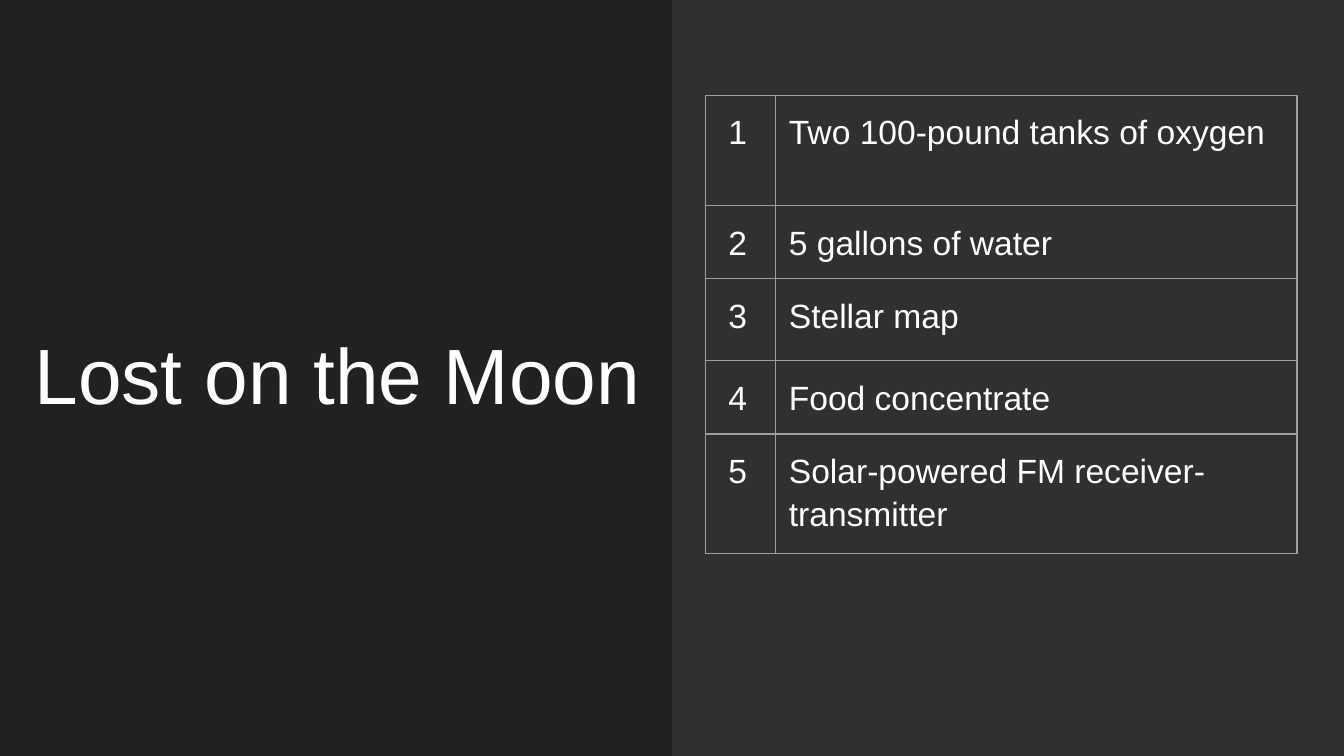
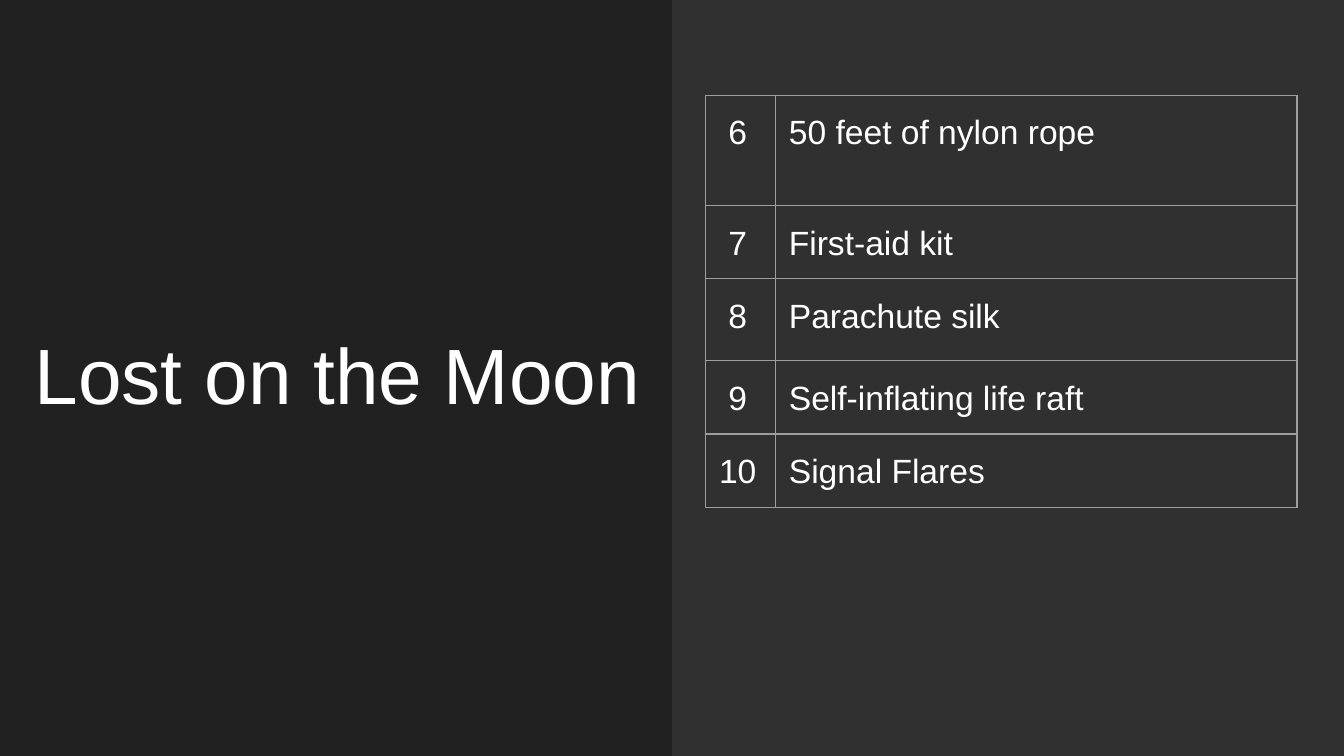
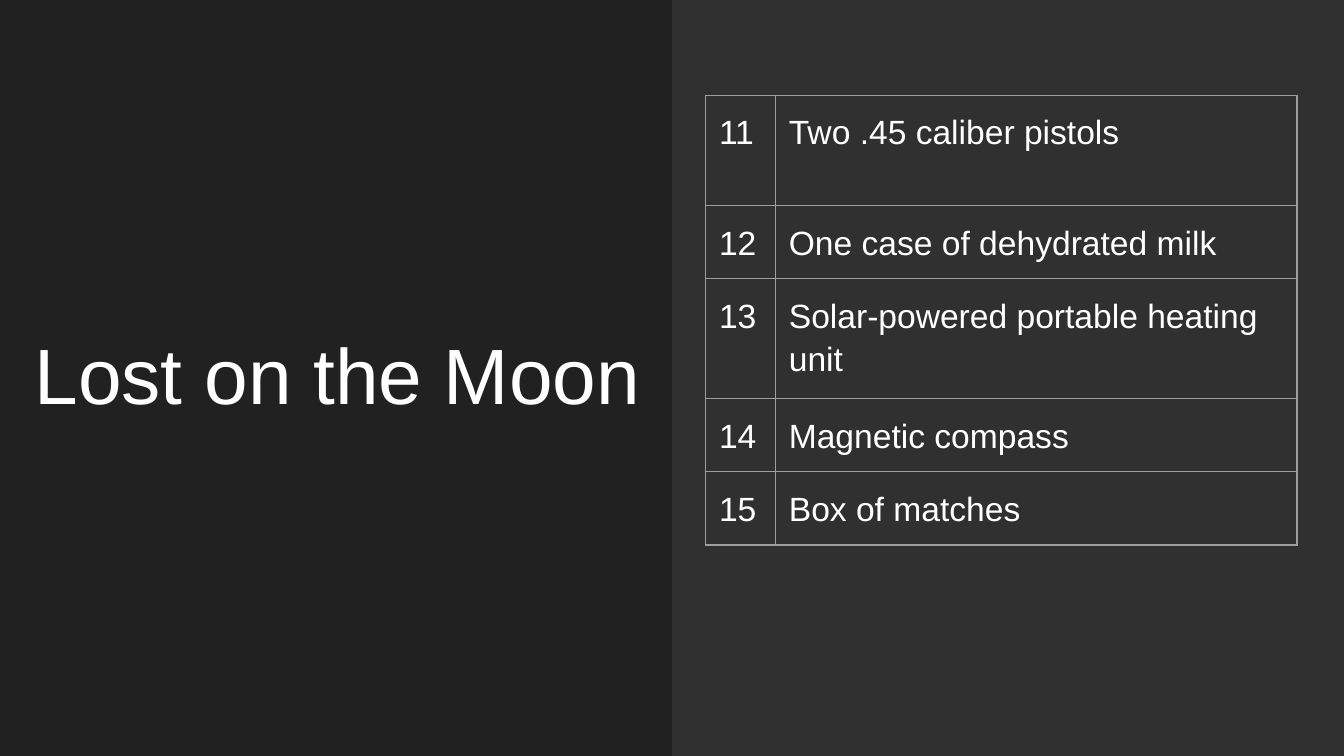
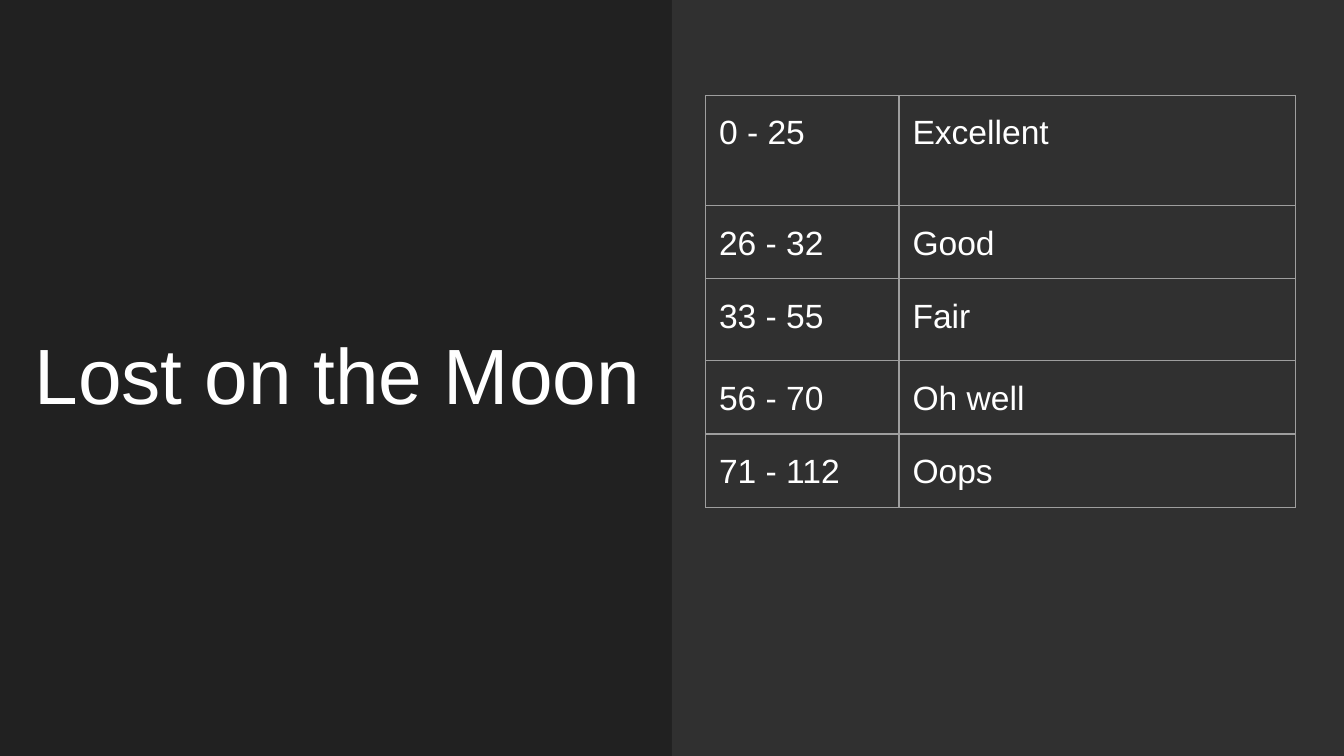
from lxml.etree import SubElement
from pptx import Presentation
from pptx.dml.color import RGBColor
from pptx.enum.shapes import MSO_SHAPE
from pptx.enum.text import MSO_ANCHOR
from pptx.oxml.ns import qn
from pptx.util import Inches, Pt

BACKGROUND = RGBColor(0x21, 0x21, 0x21)
PANEL = RGBColor(0x30, 0x30, 0x30)
WHITE = RGBColor(0xFF, 0xFF, 0xFF)
RULE = RGBColor(0x9E, 0x9E, 0x9E)

FONT = "Arial"
UNIT = Inches(0.1)
COLUMNS, ROWS = 100, 56.25
ROW_HEIGHTS = (8.2, 2.7, 6.1, 4.4, 4.4)
ITEM_WIDTHS = (5.2, 38.8)
SCORE_WIDTHS = (14.4, 29.5)
DIGIT_INDENT = Pt(5)

TITLE = "Lost on the Moon"
ITEMS = (
    "Two 100-pound tanks of oxygen",
    "5 gallons of water",
    "Stellar map",
    "Food concentrate",
    "Solar-powered FM receiver-transmitter",
    "50 feet of nylon rope",
    "First-aid kit",
    "Parachute silk",
    "Self-inflating life raft",
    "Signal Flares",
    "Two .45 caliber pistols",
    "One case of dehydrated milk",
    "Solar-powered portable heating unit",
    "Magnetic compass",
    "Box of matches",
)
SCORES = (
    ("0 - 25", "Excellent"),
    ("26 - 32", "Good"),
    ("33 - 55", "Fair"),
    ("56 - 70", "Oh well"),
    ("71 - 112", "Oops"),
)


def grid(*lengths):
    return [round(length * UNIT) for length in lengths]


class Deck:
    def __init__(self):
        self.presentation = Presentation()
        self.presentation.slide_width, self.presentation.slide_height = grid(COLUMNS, ROWS)
        fill = self.presentation.slide_master.background.fill
        fill.solid()
        fill.fore_color.rgb = BACKGROUND
        self.slide = None

    def add_slide(self):
        self.slide = self.presentation.slides.add_slide(self.presentation.slide_layouts[6])
        self.add_panel()
        self.add_title(TITLE)

    def add_panel(self):
        half = COLUMNS / 2
        panel = self.slide.shapes.add_shape(MSO_SHAPE.RECTANGLE, *grid(half, 0, half, ROWS))
        panel.shadow.inherit = False
        panel.fill.solid()
        panel.fill.fore_color.rgb = PANEL
        panel.line.fill.background()

    def add_title(self, text):
        frame = self.slide.shapes.add_textbox(*grid(1.6, 23.9, 49.7, 8.4)).text_frame
        frame.word_wrap = True
        frame.vertical_anchor = MSO_ANCHOR.BOTTOM
        self.set_margins(frame)
        self.set_text(frame, text, 42)

    def add_table(self, entries, widths):
        shape = self.slide.shapes.add_table(
            len(entries), len(widths), *grid(52.5, 7.1, sum(widths), sum(ROW_HEIGHTS)))
        table = shape.table
        table.first_row = table.horz_banding = False
        for column, width in zip(table.columns, grid(*widths)):
            column.width = width
        for row, height, entry in zip(table.rows, grid(*ROW_HEIGHTS), entries):
            row.height = height
            for cell, text in zip(row.cells, entry):
                self.fill_cell(cell, text)

    def fill_cell(self, cell, text):
        self.set_margins(cell)
        self.set_borders(cell)
        cell.fill.background()
        paragraph = self.set_text(cell.text_frame, text, 18)
        paragraph.line_spacing = 1.15
        paragraph.space_after = Pt(16)
        if len(text) == 1:
            paragraph._p.get_or_add_pPr().set("marL", str(DIGIT_INDENT))

    def set_borders(self, cell):
        properties = cell._tc.get_or_add_tcPr()
        for side in ("lnL", "lnR", "lnT", "lnB"):
            line = SubElement(properties, qn(f"a:{side}"), w=str(Pt(0.75)))
            fill = SubElement(line, qn("a:solidFill"))
            SubElement(fill, qn("a:srgbClr"), val=str(RULE))

    def set_margins(self, holder):
        holder.margin_left = holder.margin_right = UNIT
        holder.margin_top = holder.margin_bottom = UNIT

    def set_text(self, frame, text, size):
        paragraph = frame.paragraphs[0]
        paragraph.text = text
        paragraph.font.name = FONT
        paragraph.font.size = Pt(size)
        paragraph.font.color.rgb = WHITE
        return paragraph


def main():
    deck = Deck()
    numbered = [(str(number), item) for number, item in enumerate(ITEMS, 1)]
    step = len(ROW_HEIGHTS)
    for start in range(0, len(numbered), step):
        deck.add_slide()
        deck.add_table(numbered[start:start + step], ITEM_WIDTHS)
    deck.add_slide()
    deck.add_table(SCORES, SCORE_WIDTHS)
    deck.presentation.save("out.pptx")


if __name__ == "__main__":
    main()
